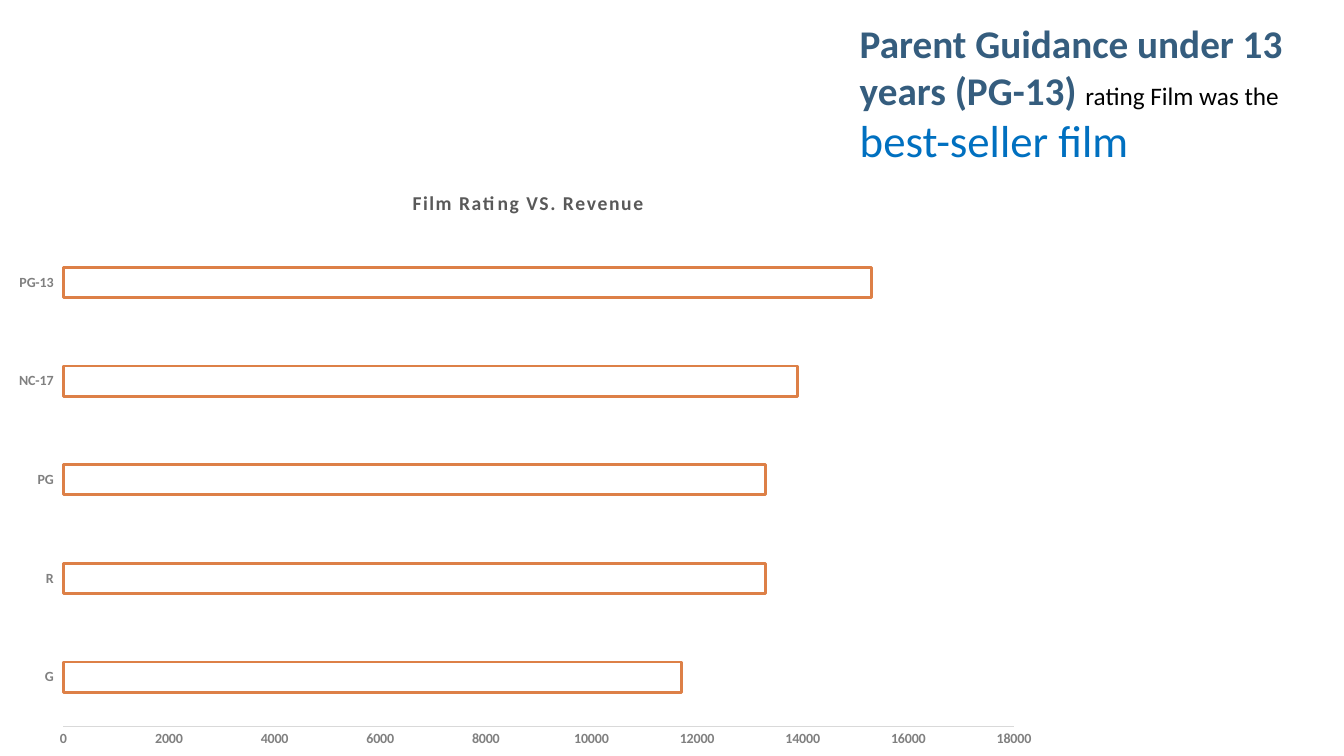
from typing import NamedTuple

from lxml import etree
from pptx import Presentation
from pptx.chart.axis import _BaseAxis as Axis
from pptx.chart.chart import Chart
from pptx.chart.data import CategoryChartData
from pptx.dml.color import RGBColor
from pptx.enum.chart import XL_CHART_TYPE, XL_TICK_MARK
from pptx.enum.text import MSO_AUTO_SIZE
from pptx.oxml.ns import qn
from pptx.slide import Slide
from pptx.text.text import Font
from pptx.util import Pt

BARS = XL_CHART_TYPE.BAR_CLUSTERED
NO_TICK = XL_TICK_MARK.NONE
OUT_TICK = XL_TICK_MARK.OUTSIDE
GROW = MSO_AUTO_SIZE.SHAPE_TO_FIT_TEXT
FACE = "Calibri"
COLORS = {
    "navy": "355D7E",
    "blue": "0070C0",
    "black": "000000",
    "title": "595959",
    "label": "808080",
    "rule": "D9D9D9",
    "bar": "DD8047",
}


class Span(NamedTuple):
    text: str
    size: float
    color: str
    bold: bool


class Film(NamedTuple):
    rating: str
    sales: int


SPANS = [
    Span("Parent Guidance under 13 years (PG-13) ", 28, "navy", True),
    Span("rating Film was the ", 18, "black", False),
    Span("best-seller film", 32, "blue", False),
]
FILMS = [
    Film("G", 11700),
    Film("R", 13300),
    Film("PG", 13300),
    Film("NC-17", 13900),
    Film("PG-13", 15300),
]
# Inner plot area, as shares of the chart frame
PLOT = {"x": 0.06, "y": 0.11, "w": 0.9, "h": 0.84}


def tint(name: str) -> RGBColor:
    return RGBColor.from_string(COLORS[name])


def style(font: Font, size: float, color: str, bold: bool) -> None:
    font.size = Pt(size)
    font.bold = bold
    font.color.rgb = tint(color)


def set_axis(axis: Axis, tick: XL_TICK_MARK) -> None:
    axis.has_major_gridlines = False
    axis.major_tick_mark = tick
    axis.minor_tick_mark = NO_TICK
    font = axis.tick_labels.font
    font.name = FACE
    style(font, 10, "label", True)


def set_plot(chart: Chart) -> None:
    area = chart.element.find(".//" + qn("c:plotArea"))
    frame = area.find(qn("c:layout"))
    if frame is None:
        frame = etree.Element(qn("c:layout"))
        area.insert(0, frame)
    box = etree.SubElement(frame, qn("c:manualLayout"))
    parts = {"layoutTarget": "inner", "xMode": "edge", "yMode": "edge", **PLOT}
    for tag, val in parts.items():
        etree.SubElement(box, qn("c:" + tag)).set("val", str(val))


def add_bars(slide: Slide) -> None:
    data = CategoryChartData()
    data.categories = [film.rating for film in FILMS]
    data.add_series("Series 1", [film.sales for film in FILMS])
    frame = slide.shapes.add_chart(BARS, 0, Pt(120.25), Pt(754.5), Pt(419.75), data)
    chart = frame.chart
    chart.has_legend = False
    chart.font.name = FACE
    style(chart.font, 10, "black", True)

    # Title
    chart.has_title = True
    para = chart.chart_title.text_frame.paragraphs[0]
    para.text = "Film Rating VS. Revenue"
    para.font.name = FACE
    style(para.font, 14, "title", True)
    para.font._element.set("spc", "100")
    chart.chart_title.include_in_layout = False

    # Axes
    set_axis(chart.category_axis, OUT_TICK)
    chart.category_axis.format.line.fill.background()
    scale = chart.value_axis
    set_axis(scale, NO_TICK)
    scale.minimum_scale = 0
    scale.maximum_scale = 18000
    scale.major_unit = 2000
    scale.format.line.color.rgb = tint("rule")
    scale.format.line.width = Pt(0.75)

    # Bars
    plot = chart.plots[0]
    plot.vary_by_categories = False
    plot.gap_width = 227
    plot.overlap = -48
    look = plot.series[0].format
    look.fill.background()
    look.line.color.rgb = tint("bar")
    look.line.width = Pt(2)
    set_plot(chart)


def add_note(slide: Slide) -> None:
    box = slide.shapes.add_textbox(Pt(607), Pt(10), Pt(337.75), Pt(113.75))
    frame = box.text_frame
    frame.word_wrap = True
    frame.auto_size = GROW
    para = frame.paragraphs[0]
    para.font.name = FACE
    for span in SPANS:
        run = para.add_run()
        run.text = span.text
        style(run.font, span.size, span.color, span.bold)


def main() -> None:
    deck = Presentation()
    deck.slide_width = Pt(960)
    deck.slide_height = Pt(540)
    slide = deck.slides.add_slide(deck.slide_layouts[6])
    add_bars(slide)
    add_note(slide)
    deck.save("out.pptx")


if __name__ == "__main__":
    main()
